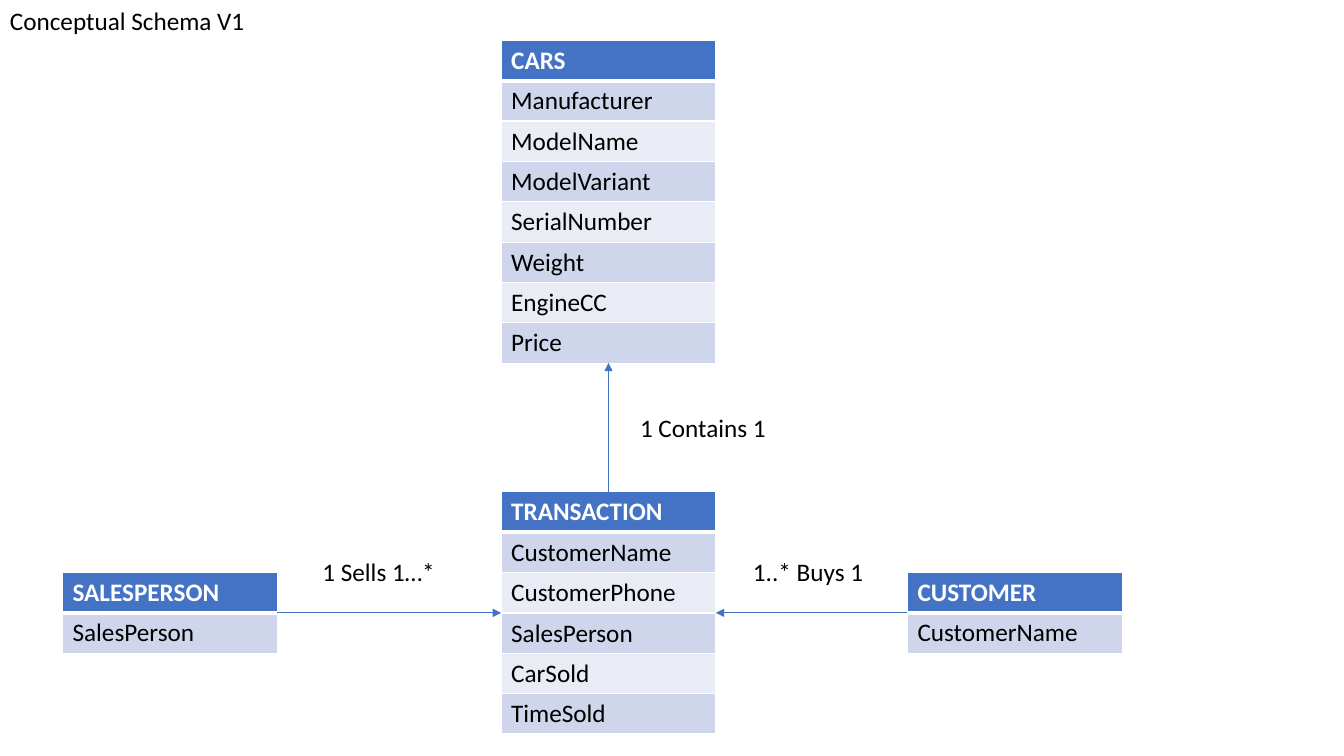
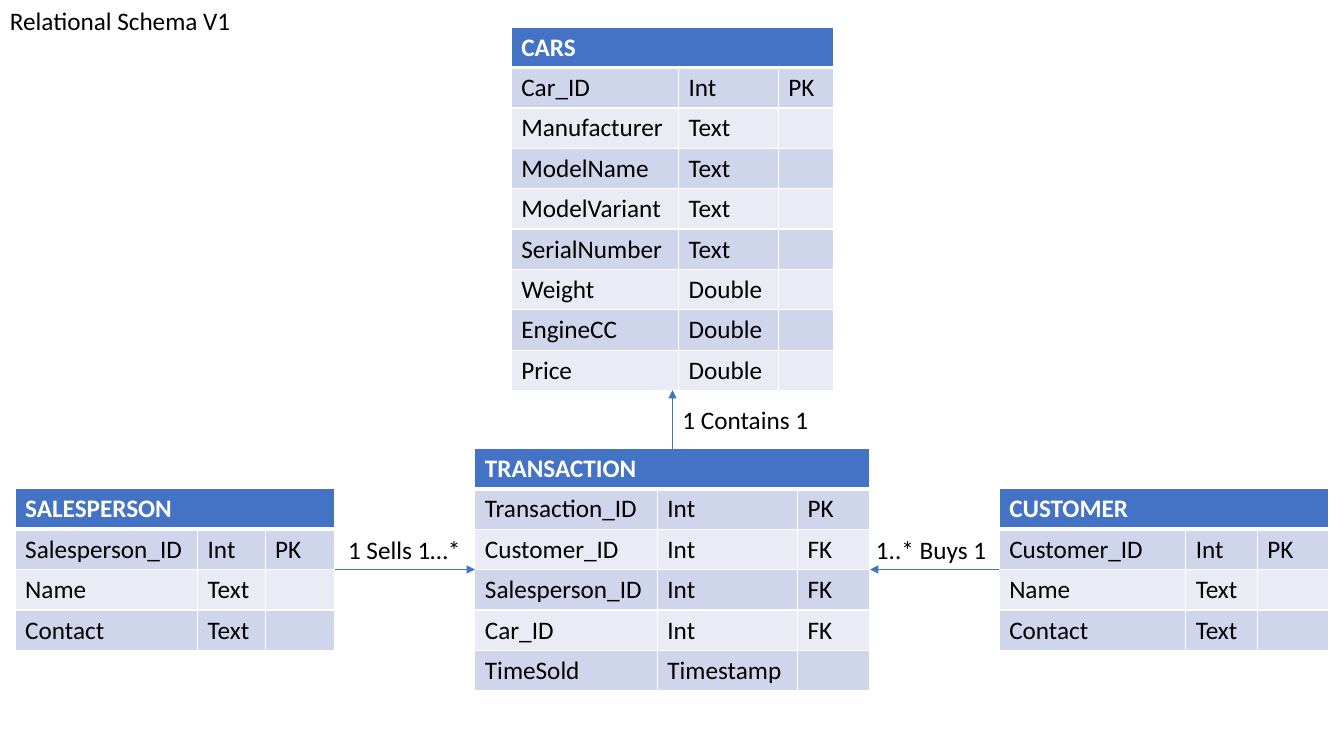
import dataclasses

import lxml.etree
import pptx
import pptx.dml.color
import pptx.enum.shapes
import pptx.enum.text
import pptx.oxml.ns
import pptx.util

EMU_PER_PX = 9144
TOP, LEFT, BOTTOM, RIGHT = range(4)


@dataclasses.dataclass(frozen=True)
class Theme:
    font: str = "Calibri"
    text_size: int = 18
    text: str = "000000"
    accent: str = "4472C4"
    white: str = "FFFFFF"
    bands: tuple = ("CFD5EA", "E9EBF5")
    grid_line: int = 1
    header_line: int = 3
    relation_line: float = 0.5
    row_height: int = 40


THEME = Theme()


def px(length):
    return pptx.util.Emu(length * EMU_PER_PX)


def rgb(value):
    return pptx.dml.color.RGBColor.from_string(value)


def add_element(parent, tag, **attributes):
    return lxml.etree.SubElement(parent, pptx.oxml.ns.qn(tag), attributes)


def format_text(text_frame, color, bold=False):
    for paragraph in text_frame.paragraphs:
        for run in paragraph.runs:
            run.font.name = THEME.font
            run.font.size = pptx.util.Pt(THEME.text_size)
            run.font.bold = bold
            run.font.color.rgb = rgb(color)


def add_label(slide, left, top, width, text, centered=False):
    shape = slide.shapes.add_textbox(px(left), px(top), px(width), px(THEME.row_height))
    text_frame = shape.text_frame
    text_frame.word_wrap = True
    text_frame.text = text
    format_text(text_frame, THEME.text)
    if centered:
        text_frame.paragraphs[0].alignment = pptx.enum.text.PP_ALIGN.CENTER


def set_borders(cell, top, bottom):
    properties = cell._tc.get_or_add_tcPr()
    sides = (("L", THEME.grid_line), ("R", THEME.grid_line), ("T", top), ("B", bottom))
    for position, (side, width) in enumerate(sides):
        border = add_element(properties, f"a:ln{side}", w=str(pptx.util.Pt(width)))
        fill = add_element(border, "a:solidFill")
        add_element(fill, "a:srgbClr", val=THEME.white)
        properties.insert(position, border)


def add_entity(slide, left, top, columns, name, fields):
    rows = [(name,)] + fields
    shape = slide.shapes.add_table(
        len(rows), len(columns), px(left), px(top),
        px(sum(columns)), px(THEME.row_height * len(rows)))
    table = shape.table
    for column, width in zip(table.columns, columns):
        column.width = px(width)
    for row_index, values in enumerate(rows):
        header = row_index == 0
        band = THEME.accent if header else THEME.bands[(row_index - 1) % 2]
        top_line = THEME.header_line if row_index == 1 else THEME.grid_line
        bottom_line = THEME.header_line if header else THEME.grid_line
        for column_index in range(len(columns)):
            cell = table.cell(row_index, column_index)
            cell.fill.solid()
            cell.fill.fore_color.rgb = rgb(band)
            set_borders(cell, top_line, bottom_line)
            if column_index < len(values):
                cell.text_frame.text = values[column_index]
                format_text(cell.text_frame, THEME.white if header else THEME.text, header)
    if len(columns) > 1:
        table.cell(0, 0).merge(table.cell(0, len(columns) - 1))
    return shape


def add_relation(slide, source, source_side, target, target_side):
    connector = slide.shapes.add_connector(
        pptx.enum.shapes.MSO_CONNECTOR.STRAIGHT, 0, 0, 0, 0)
    connector.begin_connect(source, source_side)
    connector.end_connect(target, target_side)
    connector.line.color.rgb = rgb(THEME.accent)
    connector.line.width = pptx.util.Pt(THEME.relation_line)
    add_element(connector.line._get_or_add_ln(), "a:tailEnd", type="triangle")
    add_element(connector._element.spPr, "a:effectLst")


def add_schema_slide(presentation, title, entities, labels):
    slide = presentation.slides.add_slide(presentation.slide_layouts[6])
    add_label(slide, 0, 0, 378, title)
    shapes = {entity[3]: add_entity(slide, *entity) for entity in entities}
    transaction = shapes["TRANSACTION"]
    add_relation(slide, shapes["SALESPERSON"], RIGHT, transaction, LEFT)
    add_relation(slide, shapes["CUSTOMER"], LEFT, transaction, RIGHT)
    add_relation(slide, transaction, TOP, shapes["CARS"], BOTTOM)
    for label in labels:
        add_label(slide, *label)


def add_conceptual_schema(presentation):
    columns = (213,)
    entities = [
        (497, 40, columns, "CARS", [
            ("Manufacturer",), ("ModelName",), ("ModelVariant",), ("SerialNumber",),
            ("Weight",), ("EngineCC",), ("Price",)]),
        (62, 568, columns, "SALESPERSON", [("SalesPerson",)]),
        (900, 568, columns, "CUSTOMER", [("CustomerName",)]),
        (497, 488, columns, "TRANSACTION", [
            ("CustomerName",), ("CustomerPhone",), ("SalesPerson",),
            ("CarSold",), ("TimeSold",)]),
    ]
    labels = [
        (737, 547, 136, "1..* Buys 1"),
        (310, 547, 136, "1 Sells 1…*"),
        (625, 404, 170, "1 Contains 1"),
    ]
    add_schema_slide(presentation, "Conceptual Schema V1", entities, labels)


def add_relational_schema(presentation):
    contact_fields = [("Name", "Text"), ("Contact", "Text")]
    entities = [
        (507, 27, (166, 99, 55), "CARS", [
            ("Car_ID", "Int", "PK"), ("Manufacturer", "Text"), ("ModelName", "Text"),
            ("ModelVariant", "Text"), ("SerialNumber", "Text"), ("Weight", "Double"),
            ("EngineCC", "Double"), ("Price", "Double")]),
        (15, 485, (181, 67, 69), "SALESPERSON",
         [("Salesperson_ID", "Int", "PK")] + contact_fields),
        (991, 485, (185, 71, 71), "CUSTOMER",
         [("Customer_ID", "Int", "PK")] + contact_fields),
        (471, 445, (181, 139, 72), "TRANSACTION", [
            ("Transaction_ID", "Int", "PK"), ("Customer_ID", "Int", "FK"),
            ("Salesperson_ID", "Int", "FK"), ("Car_ID", "Int", "FK"),
            ("TimeSold", "Timestamp")]),
    ]
    labels = [
        (333, 525, 136, "1 Sells 1…*", True),
        (859, 525, 136, "1..* Buys 1"),
        (667, 396, 170, "1 Contains 1"),
    ]
    add_schema_slide(presentation, "Relational Schema V1", entities, labels)


def main():
    presentation = pptx.Presentation()
    presentation.slide_width = px(1333)
    presentation.slide_height = px(750)
    add_conceptual_schema(presentation)
    add_relational_schema(presentation)
    presentation.save("out.pptx")


if __name__ == "__main__":
    main()
